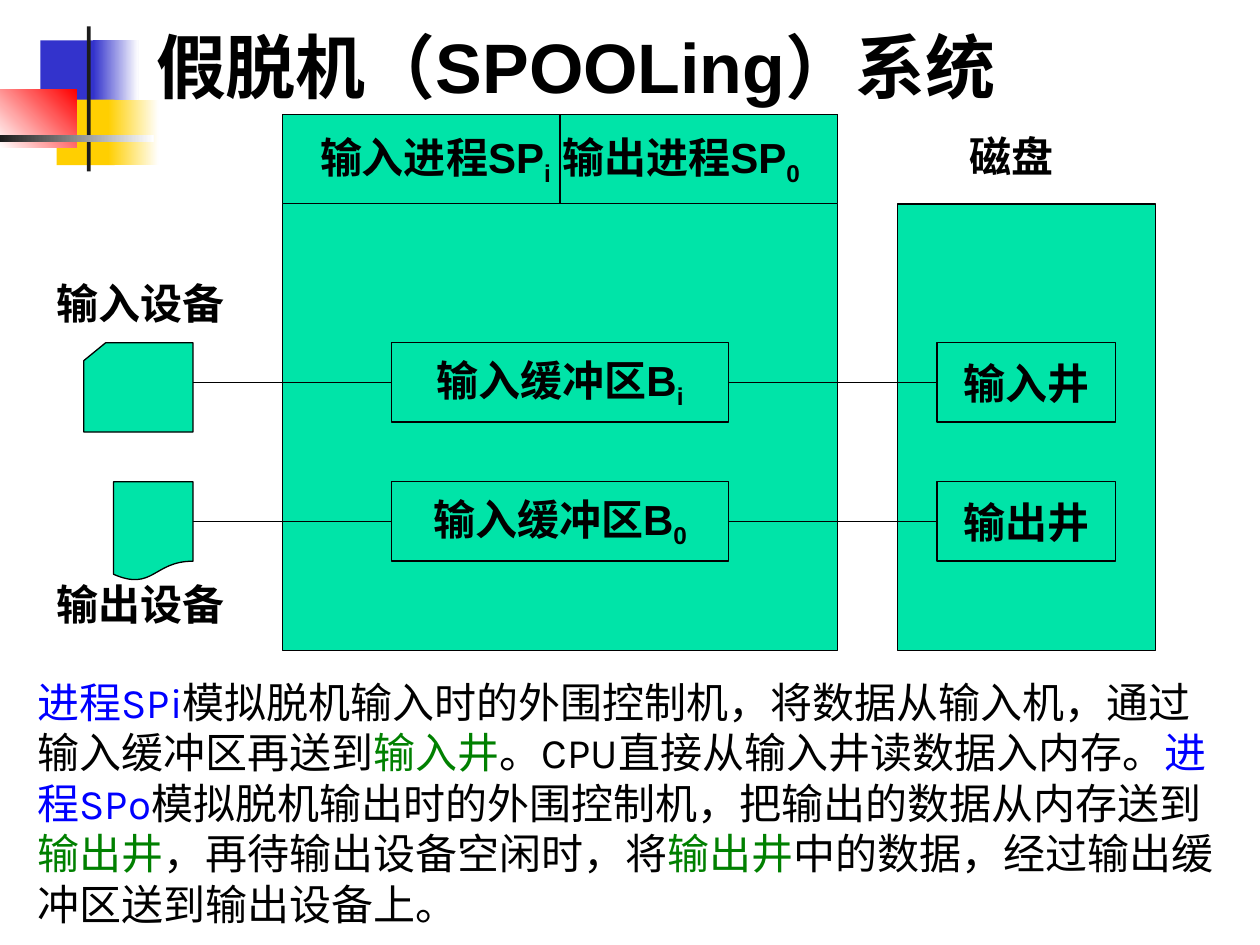
from lxml.etree import SubElement
from pptx import Presentation
from pptx.dml.color import RGBColor
from pptx.enum.shapes import MSO_CONNECTOR, MSO_SHAPE as Shape
from pptx.enum.text import MSO_ANCHOR as Anchor, PP_ALIGN as Align
from pptx.oxml.ns import qn
from pptx.util import Cm, Inches, Pt

COLORS = {
    "white": "FFFFFF", "black": "000000", "navy": "3333CC", "gold": "FFCF01",
    "red": "FF0000", "ink": "1C1C1C", "mint": "00E4A8", "blue": "0000FF",
    "green": "008000",
}
UNIT = Cm(0.2)
LEFT, TOP = Inches(2.24), Inches(0.91)

prs = Presentation()
prs.slide_width, prs.slide_height = Inches(10), Inches(7.5)
slide = prs.slides.add_slide(prs.slide_layouts[6])
shapes = slide.shapes


def rgb(name):
    return RGBColor.from_string(COLORS[name])


def write(frame, runs, size=24, font="Arial", bold=True):
    for words, color, baseline in runs:
        run = frame.paragraphs[0].add_run()
        run.text = words
        run.font.size, run.font.name, run.font.bold = Pt(size), font, bold
        run.font.color.rgb = rgb(color)
        if baseline:
            run.font._element.set("baseline", str(baseline * 1000))


ornament = [
    (0.32, 0.32, 0.48, 0.52, ["navy"], 0),
    (0.74, 0.32, 0.36, 0.52, ["navy", "white"], 0),
    (0.45, 0.79, 0.46, 0.52, ["gold"], 0),
    (0.86, 0.79, 0.40, 0.52, ["gold", "white"], 0),
    (0, 0.71, 0.61, 0.46, ["white", "red"], 45),
    (0.69, 0.21, 0.03, 1.15, ["ink"], 0),
    (0, 1.07, 1.22, 0.06, ["ink", "white"], 0),
]
for x, y, w, h, tones, angle in ornament:
    bar = shapes.add_shape(Shape.RECTANGLE, *map(Inches, (x, y, w, h)))
    bar.shadow.inherit = False
    bar.line.fill.background()
    if len(tones) == 1:
        bar.fill.solid()
        bar.fill.fore_color.rgb = rgb(tones[0])
    else:
        bar.fill.gradient()
        bar.fill.gradient_angle = angle
        for stop, tone in zip(bar.fill.gradient_stops, tones):
            stop.color.rgb = rgb(tone)

INPUT_ROW, OUTPUT_ROW, BOX_ROWS = 23, 37, 8
BUFFER_COL, WELL_COL = 11, 66
blocks = [
    ("memory", Shape.RECTANGLE, 0, 0, 56, 54, []),
    ("processes", Shape.RECTANGLE, 0, 0, 56, 9,
     [("输入进程SP", 0), ("i", -20), (" 输出进程SP", 0), ("0", -20)]),
    ("input buffer", Shape.RECTANGLE, BUFFER_COL, INPUT_ROW, 34, BOX_ROWS,
     [("输入缓冲区B", 0), ("i", -20)]),
    ("output buffer", Shape.RECTANGLE, BUFFER_COL, OUTPUT_ROW, 34, BOX_ROWS,
     [("输入缓冲区B", 0), ("0", -20)]),
    ("disk", Shape.RECTANGLE, 62, 9, 26, 45, []),
    ("output device", Shape.FLOWCHART_DOCUMENT, -17, OUTPUT_ROW, 8, 10, []),
    ("input device", Shape.FLOWCHART_CARD, -20, INPUT_ROW, 11, 9, []),
    ("input well", Shape.RECTANGLE, WELL_COL, INPUT_ROW, 18, BOX_ROWS, [("输入井", 0)]),
    ("output well", Shape.RECTANGLE, WELL_COL, OUTPUT_ROW, 18, BOX_ROWS, [("输出井", 0)]),
]
parts = {}
for part, kind, col, row, cols, rows, words in blocks:
    block = shapes.add_shape(kind, LEFT + col * UNIT, TOP + row * UNIT, cols * UNIT, rows * UNIT)
    block.shadow.inherit = False
    block.fill.solid()
    block.fill.fore_color.rgb = rgb("mint")
    block.line.color.rgb = rgb("black")
    block.line.width = Pt(0.75)
    if words:
        frame = block.text_frame
        frame.word_wrap = False
        frame.vertical_anchor = Anchor.MIDDLE
        frame.paragraphs[0].alignment = Align.CENTER
        write(frame, [(text, "black", baseline) for text, baseline in words])
    parts[part] = block

links = [(28, 0, 28, 9, None, None)]
for flow, row in (("input", INPUT_ROW), ("output", OUTPUT_ROW)):
    middle = row + BOX_ROWS // 2
    buffer, well = parts[f"{flow} buffer"], parts[f"{flow} well"]
    links.append((-9, middle, BUFFER_COL, middle, None, buffer))
    links.append((BUFFER_COL + 34, middle, WELL_COL, middle, buffer, well))
for x1, y1, x2, y2, source, target in links:
    link = shapes.add_connector(MSO_CONNECTOR.STRAIGHT, LEFT + x1 * UNIT, TOP + y1 * UNIT,
                                LEFT + x2 * UNIT, TOP + y2 * UNIT)
    if source:
        link.begin_connect(source, 3)
    if target:
        link.end_connect(target, 1)
    link.line.color.rgb = rgb("black")
    link.line.width = Pt(0.75)
    SubElement(link._element.spPr, qn("a:effectLst"))

for text, x, y, w in (("输入设备", 0.35, 2.15, 1.65), ("输出设备", 0.35, 4.54, 1.65),
                      ("磁盘", 7.6, 0.99, 0.94)):
    label = shapes.add_textbox(*map(Inches, (x, y, w, 0.5))).text_frame
    label.word_wrap = True
    write(label, [(text, "black", 0)])

summary = shapes.add_textbox(*map(Inches, (0.2, 5.32, 9.61, 2.1))).text_frame
summary.word_wrap = True
write(summary, [
    ("进程SPi", "blue", 0),
    ("模拟脱机输入时的外围控制机，将数据从输入机，通过输入缓冲区再送到", "black", 0),
    ("输入井", "green", 0),
    ("。CPU直接从输入井读数据入内存。", "black", 0),
    ("进程SPo", "blue", 0),
    ("模拟脱机输出时的外围控制机，把输出的数据从内存送到", "black", 0),
    ("输出井", "green", 0),
    ("，再待输出设备空闲时，将", "black", 0),
    ("输出井", "green", 0),
    ("中的数据，经过输出缓冲区送到输出设备上。", "black", 0),
], font="Karla", bold=False)

title = shapes.add_textbox(*map(Inches, (1.14, 0.13, 8.52, 0.77))).text_frame
title.word_wrap = True
title.vertical_anchor = Anchor.BOTTOM
write(title, [("假脱机（SPOOLing）系统", "black", 0)], size=40)

prs.save("out.pptx")
